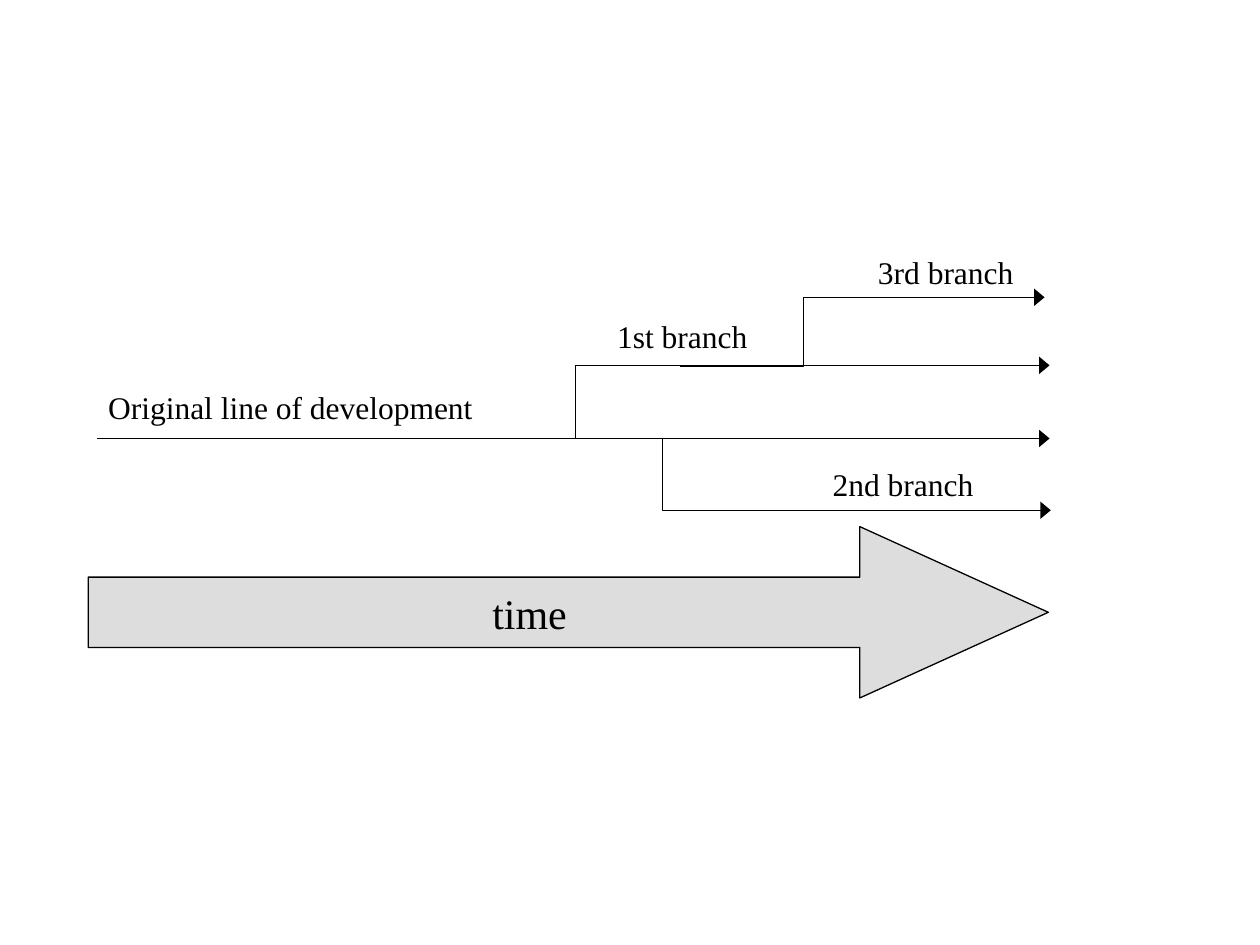
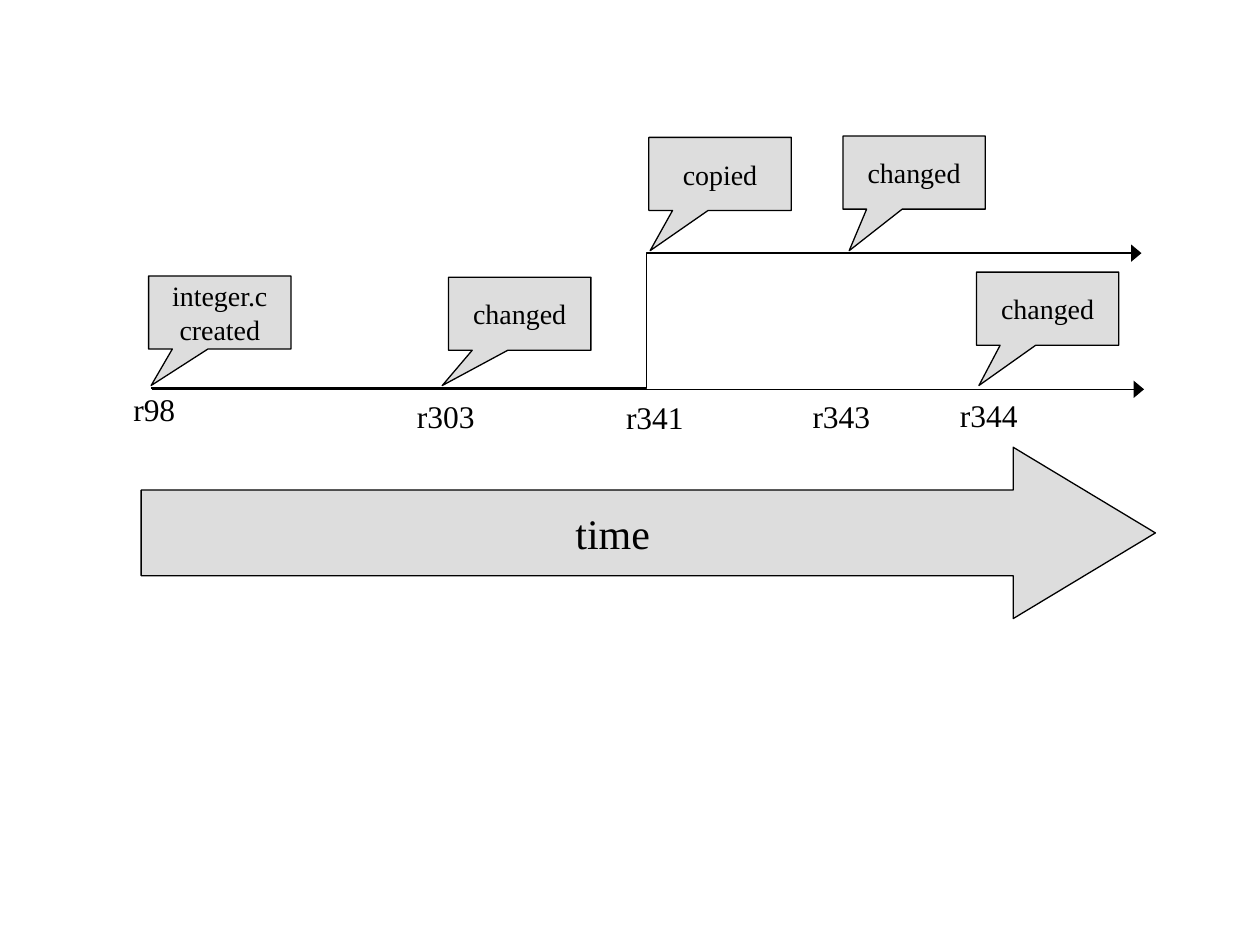
"""Build two version-control timelines: branches of development and revisions of a file."""
import pptx
import pptx.dml.color
import pptx.enum.shapes
import pptx.enum.text
import pptx.oxml.ns
import pptx.util
from lxml import etree

Inches = pptx.util.Inches
SHAPE = pptx.enum.shapes.MSO_SHAPE
CONNECTOR = pptx.enum.shapes.MSO_CONNECTOR
ALIGN = pptx.enum.text.PP_ALIGN
qn = pptx.oxml.ns.qn

BLACK = pptx.dml.color.RGBColor(0x00, 0x00, 0x00)
GREY = pptx.dml.color.RGBColor(0xDD, 0xDD, 0xDD)
LINE_WIDTH = pptx.util.Pt(0.75)
FONT = "Times New Roman"
LABEL_SIZE, NOTE_SIZE, TIME_SIZE = 18, 16, 24
LABEL_HEIGHT = 0.4
TIME_HEIGHT = 1.36
NOTE_WIDTH, NOTE_HEIGHT = 1.13, 0.58

SLIDES = [
    {
        "lines": [
            {"start": (0.77, 3.48), "end": (8.33, 3.48)},
            {"start": (0.81, 3.48), "end": (8.33, 2.9), "bend": 4.57},
            {"start": (4.88, 3.48), "end": (8.34, 4.05), "bend": 5.26},
            {"start": (5.4, 2.91), "end": (8.29, 2.36), "bend": 6.38},
        ],
        "labels": [
            {"text": "Original line of development", "left": 0.76, "top": 3.03, "width": 3.12},
            {"text": "1st branch", "left": 4.8, "top": 2.47, "width": 1.26},
            {"text": "2nd branch", "left": 6.51, "top": 3.64, "width": 1.35},
            {"text": "3rd branch", "left": 6.87, "top": 1.96, "width": 1.3},
        ],
        "notes": [],
        "time": {"left": 0.7, "top": 4.18, "width": 7.62, "shaft": 0.41, "head": 1.1},
    },
    {
        "lines": [
            {"start": (1.21, 3.09), "end": (9.08, 3.09)},
            {"start": (1.2, 3.08), "end": (9.06, 2.01), "bend": 5.13},
        ],
        "labels": [
            {"text": "r98", "left": 0.96, "top": 3.05, "width": 0.56},
            {"text": "r303", "left": 3.21, "top": 3.1, "width": 0.69},
            {"text": "r341", "left": 4.87, "top": 3.11, "width": 0.69},
            {"text": "r343", "left": 6.35, "top": 3.1, "width": 0.69},
            {"text": "r344", "left": 7.52, "top": 3.09, "width": 0.69},
        ],
        "notes": [
            {"text": "integer.c\ncreated", "left": 1.18, "top": 2.19, "tip": (1.2, 3.06)},
            {"text": "changed", "left": 3.56, "top": 2.2, "tip": (3.51, 3.06)},
            {"text": "copied", "left": 5.15, "top": 1.09, "tip": (5.16, 1.99)},
            {"text": "changed", "left": 7.75, "top": 2.16, "tip": (7.77, 3.06)},
            {"text": "changed", "left": 6.69, "top": 1.08, "tip": (6.74, 1.99)},
        ],
        "time": {"left": 1.12, "top": 3.55, "width": 8.05, "shaft": 0.5, "head": 0.83},
    },
]


def write(sp, text, size, align):
    tf = sp.text_frame
    tf.text = text
    tf.word_wrap = False
    style = {"name": FONT, "size": pptx.util.Pt(size)}
    for p in tf.paragraphs:
        p.alignment = align
        for r in p.runs:
            for key, value in style.items():
                setattr(r.font, key, value)
            r.font.color.rgb = BLACK


def add_label(s, text, left, top, width):
    sp = s.shapes.add_textbox(*map(Inches, (left, top, width, LABEL_HEIGHT)))
    write(sp, text, LABEL_SIZE, ALIGN.LEFT)


def add_grey_shape(s, kind, box, adjustments, text, size):
    sp = s.shapes.add_shape(kind, *map(Inches, box))
    sp.shadow.inherit = False
    sp.fill.solid()
    sp.fill.fore_color.rgb = GREY
    sp.line.color.rgb = BLACK
    sp.line.width = LINE_WIDTH
    for i, value in enumerate(adjustments):
        sp.adjustments[i] = value
    sp.text_frame.vertical_anchor = pptx.enum.text.MSO_ANCHOR.MIDDLE
    write(sp, text, size, ALIGN.CENTER)


def add_note(s, text, left, top, tip):
    adjustments = ((tip[0] - left) / NOTE_WIDTH - 0.5, (tip[1] - top) / NOTE_HEIGHT - 0.5)
    box = (left, top, NOTE_WIDTH, NOTE_HEIGHT)
    add_grey_shape(s, SHAPE.RECTANGULAR_CALLOUT, box, adjustments, text, NOTE_SIZE)


def add_time(s, left, top, width, shaft, head):
    box = (left, top, width, TIME_HEIGHT)
    add_grey_shape(s, SHAPE.RIGHT_ARROW, box, (shaft, head), "time", TIME_SIZE)


def add_arrow(s, start, end, bend=None):
    kind = CONNECTOR.STRAIGHT if bend is None else CONNECTOR.ELBOW
    line = s.shapes.add_connector(kind, *map(Inches, start + end))
    line.line.color.rgb = BLACK
    line.line.width = LINE_WIDTH
    sp_pr = line.line._get_or_add_ln().getparent()
    etree.SubElement(sp_pr.find(qn("a:ln")), qn("a:tailEnd"), type="triangle", w="lg", len="med")
    etree.SubElement(sp_pr, qn("a:effectLst"))
    if bend is not None:
        share = round((bend - start[0]) / (end[0] - start[0]) * 100000)
        av_lst = sp_pr.find(qn("a:prstGeom")).find(qn("a:avLst"))
        etree.SubElement(av_lst, qn("a:gd"), name="adj1", fmla=f"val {share}")


def main():
    prs = pptx.Presentation()
    prs.slide_width, prs.slide_height = Inches(10), Inches(7.5)
    for content in SLIDES:
        s = prs.slides.add_slide(prs.slide_layouts[6])
        add_time(s, **content["time"])
        for key, add in (("lines", add_arrow), ("notes", add_note), ("labels", add_label)):
            for item in content[key]:
                add(s, **item)
    prs.save("out.pptx")


if __name__ == "__main__":
    main()
